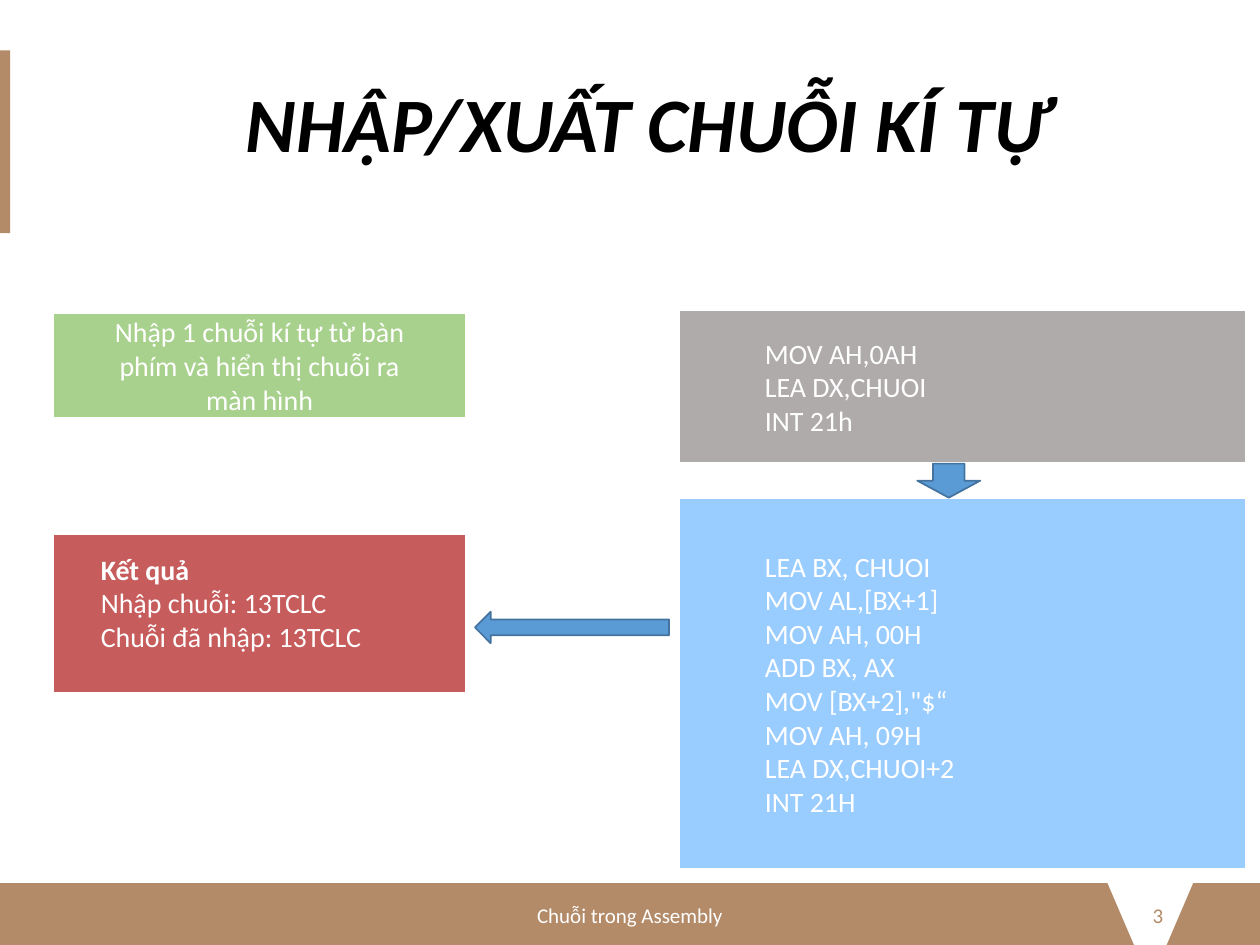
import dataclasses

import pptx
import pptx.dml.color
import pptx.enum.shapes
import pptx.enum.text
import pptx.util

SHAPES = pptx.enum.shapes.MSO_SHAPE
ALIGN = pptx.enum.text.PP_ALIGN
ANCHOR = pptx.enum.text.MSO_ANCHOR


@dataclasses.dataclass(frozen=True)
class Theme:
    font: str = "Calibri"
    brown: str = "B38B68"
    black: str = "000000"
    white: str = "FFFFFF"
    red: str = "C75C5C"
    blue: str = "99CCFF"
    gray: str = "AFABAB"
    green: str = "A9D18E"
    arrow: str = "5B9BD5"
    arrow_line: str = "43739E"
    title_size: int = 44
    body_size: int = 16
    footer_size: int = 12


THEME = Theme()


@dataclasses.dataclass(frozen=True)
class Box:
    left: float
    top: float
    width: float
    height: float

    def point(self, across, down):
        return (round(self.left + self.width * across / 100),
                round(self.top + self.height * down / 100))

    def area(self, left, top, width, height):
        return Box(*self.point(left, top),
                   round(self.width * width / 100),
                   round(self.height * height / 100))

    def frame(self):
        return self.left, self.top, self.width, self.height


def color(value):
    return pptx.dml.color.RGBColor.from_string(value)


def paint(shape, fill, line=None):
    shape.shadow.inherit = False
    shape.fill.solid()
    shape.fill.fore_color.rgb = color(fill)
    if line:
        shape.line.color.rgb = color(line)
        shape.line.width = pptx.util.Pt(1)
    else:
        shape.line.fill.background()


def add_block(slide, box, kind, fill, line=None):
    shape = slide.shapes.add_shape(kind, *box.frame())
    paint(shape, fill, line)
    return shape


def write(shape, text, size=THEME.body_size, ink=THEME.white, bold=False, italic=False,
          bold_lines=0, align=ALIGN.LEFT, anchor=ANCHOR.MIDDLE, spacing=None, top=0.05):
    frame = shape.text_frame
    frame.word_wrap = True
    frame.vertical_anchor = anchor
    frame.margin_top = pptx.util.Inches(top)
    for index, line in enumerate(text.split("\n")):
        paragraph = frame.add_paragraph() if index else frame.paragraphs[0]
        paragraph.alignment = align
        paragraph.line_spacing = spacing
        run = paragraph.add_run()
        run.text = line
        run.font.name = THEME.font
        run.font.size = pptx.util.Pt(size)
        run.font.color.rgb = color(ink)
        run.font.bold = bold or index < bold_lines
        run.font.italic = italic


def add_label(slide, box, text, **formatting):
    write(slide.shapes.add_textbox(*box.frame()), text, **formatting)


def add_panel(slide, box, fill, text, **formatting):
    panel = add_block(slide, box, SHAPES.PARALLELOGRAM, fill)
    panel.adjustments[0] = 0
    write(panel, text, **formatting)


def build_header(slide, box):
    add_block(slide, box.area(0, 7.59, 0.8, 100), SHAPES.RECTANGLE, THEME.brown)
    add_label(slide, box.area(18.5, 0, 86.2, 100), "NHẬP/XUẤT CHUỖI KÍ TỰ",
              size=THEME.title_size, ink=THEME.black, bold=True, italic=True, spacing=0.9)


def build_footer(slide, box):
    right = [(94.7, 0), (100, 0), (100, 100), (92.6, 100)]
    left = [(0, 0), (87.9, 0), (90, 100), (0, 100)]
    builder = slide.shapes.build_freeform(*box.point(*right[0]))
    builder.add_line_segments([box.point(*corner) for corner in right[1:]])
    builder.move_to(*box.point(*left[0]))
    builder.add_line_segments([box.point(*corner) for corner in left[1:]])
    paint(builder.convert_to_shape(), THEME.brown)
    add_label(slide, box.area(27.7, 10.2, 44.6, 81.63), "Chuỗi trong Assembly",
              size=THEME.footer_size, align=ALIGN.CENTER)
    add_label(slide, box.area(88.6, 10.2, 4.7, 81.63), "3",
              size=THEME.footer_size, ink=THEME.brown, align=ALIGN.RIGHT)


def build_flow(slide, box):
    task_column = (0, 34.5)
    code_column = (52.59, 47.41)

    def cell(column, top, height):
        return box.area(column[0], top, column[1], height)

    add_panel(slide, cell(task_column, 40.27, 28.05), THEME.red,
              "Kết quả\nNhập chuỗi: 13TCLC\nChuỗi đã nhập: 13TCLC",
              bold_lines=1, anchor=ANCHOR.TOP, top=0.03)
    add_panel(slide, cell(code_column, 33.71, 66.29), THEME.blue,
              "    LEA BX, CHUOI\n    MOV AL,[BX+1]\n    MOV AH, 00H\n"
              "    ADD BX, AX\n    MOV [BX+2],\"$“\n    MOV AH, 09H\n"
              "    LEA DX,CHUOI+2\n    INT 21H")
    add_panel(slide, cell(code_column, 0, 27.15), THEME.gray,
              "    MOV AH,0AH\n    LEA DX,CHUOI\n    INT 21h")
    add_panel(slide, cell(task_column, 0.45, 18.55), THEME.green,
              "Nhập 1 chuỗi kí tự từ bàn phím và hiển thị chuỗi ra màn hình",
              align=ALIGN.CENTER)
    add_block(slide, box.area(72.49, 27.38, 5.29, 6.11), SHAPES.DOWN_ARROW,
              THEME.arrow, THEME.arrow_line)
    add_block(slide, box.area(35.34, 53.96, 16.3, 5.66), SHAPES.LEFT_ARROW,
              THEME.arrow, THEME.arrow_line)


def main():
    presentation = pptx.Presentation()
    presentation.slide_width = pptx.util.Inches(10)
    presentation.slide_height = pptx.util.Inches(7.5)
    slide = presentation.slides.add_slide(presentation.slide_layouts[6])
    page = Box(0, 0, presentation.slide_width, presentation.slide_height)
    build_header(slide, page.area(0, 3.87, 100, 19.33))
    build_footer(slide, page.area(0, 93.47, 100, 6.53))
    build_flow(slide, page.area(4.3, 32.93, 94.5, 58.93))
    presentation.save("out.pptx")


if __name__ == "__main__":
    main()
